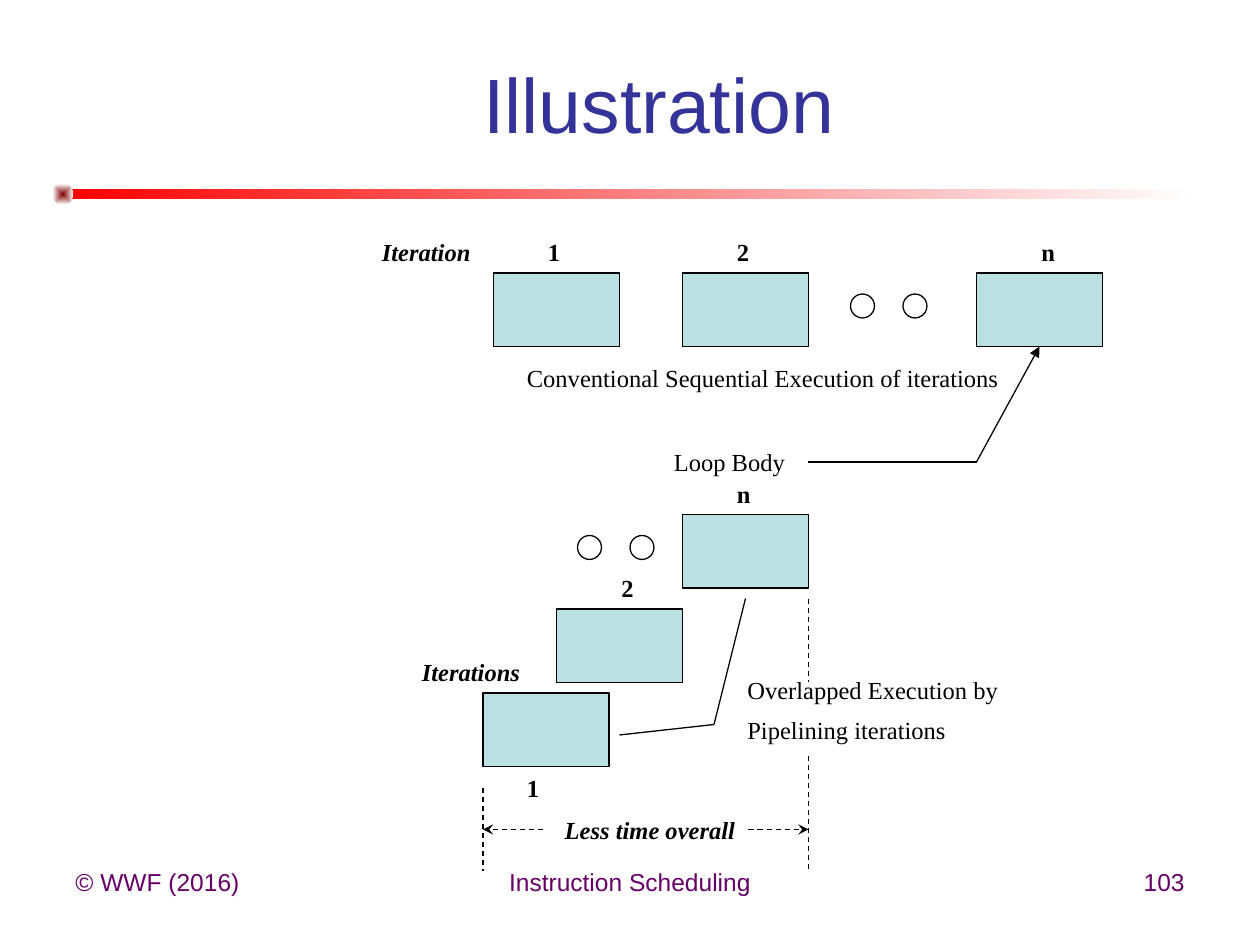
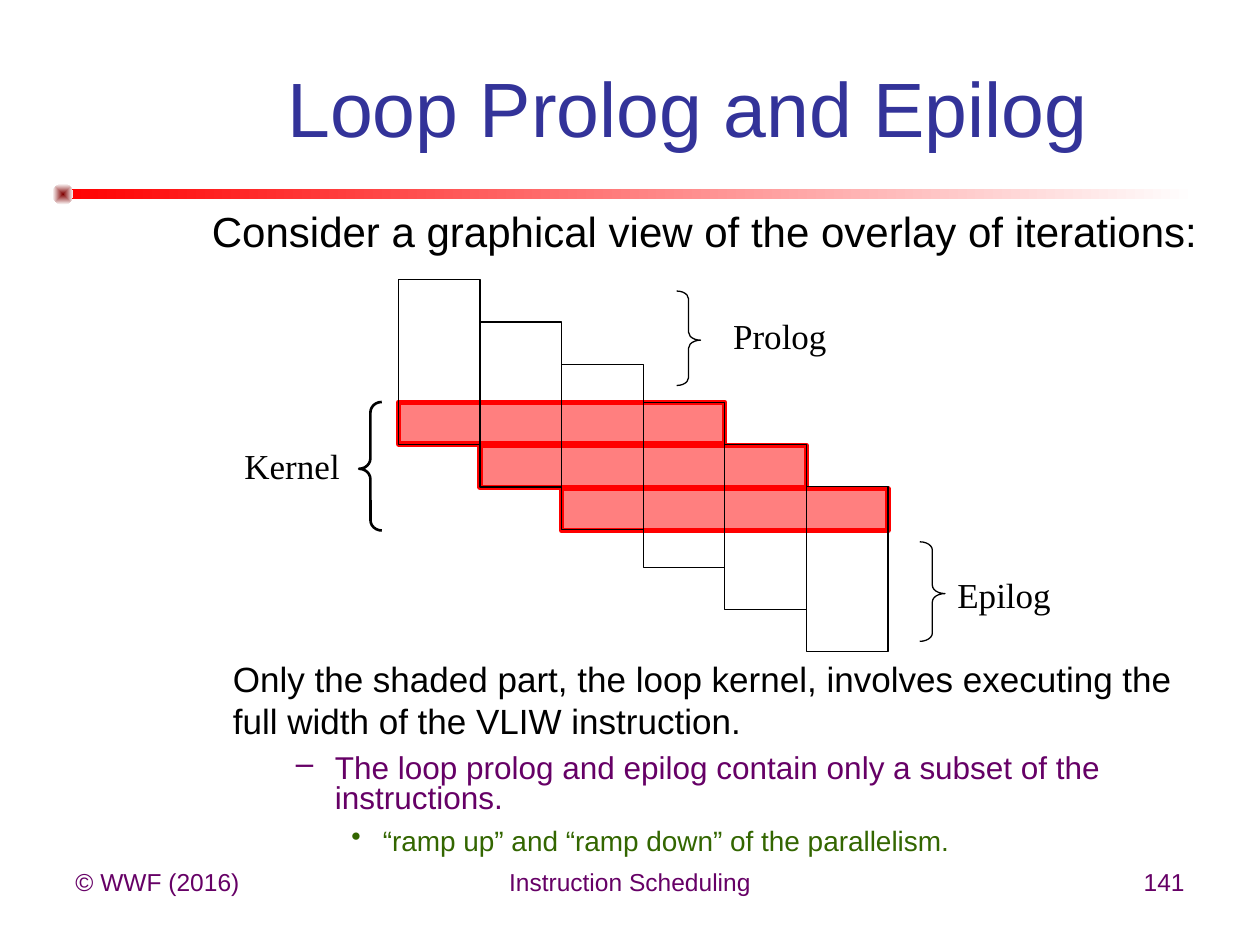
from lxml import etree
from pptx import Presentation
from pptx.dml.color import RGBColor
from pptx.enum.dml import MSO_LINE
from pptx.enum.shapes import MSO_CONNECTOR, MSO_SHAPE
from pptx.enum.text import MSO_ANCHOR, PP_ALIGN
from pptx.oxml.ns import qn
from pptx.util import Inches, Pt

RECT, OVAL = MSO_SHAPE.RECTANGLE, MSO_SHAPE.OVAL
LBRACE, RBRACE = MSO_SHAPE.LEFT_BRACE, MSO_SHAPE.RIGHT_BRACE
LEFT, MID, RIGHT = PP_ALIGN.LEFT, PP_ALIGN.CENTER, PP_ALIGN.RIGHT
STRAIGHT, DASH = MSO_CONNECTOR.STRAIGHT, MSO_LINE.DASH
SANS, SERIF = "Arial", "Times New Roman"
BLACK, WHITE, RED, MAROON = "000000", "FFFFFF", "FF0000", "800000"
NAVY, PLUM, GREEN, TEAL = "333399", "660066", "336600", "BBE0E3"
UNIT = Inches(1) / 12
rgb = RGBColor.from_string


def write(slide, box, text, size=14, font=SERIF, color=BLACK, align=LEFT, bold=None, slant=None):
    frame = slide.shapes.add_textbox(*[round(v * UNIT) for v in box]).text_frame
    frame.word_wrap = True
    frame.text = text
    for para in frame.paragraphs:
        para.alignment = align
        face = para.font
        face.name, face.size, face.bold, face.italic = font, Pt(size), bold, slant
        face.color.rgb = rgb(color)
    return frame


def draw(slide, kind, box, fill=None, edge=None, width=0.75):
    shape = slide.shapes.add_shape(kind, *[round(v * UNIT) for v in box])
    shape.shadow.inherit = False
    if fill:
        shape.fill.solid()
        shape.fill.fore_color.rgb = rgb(fill)
    else:
        shape.fill.background()
    if edge:
        shape.line.color.rgb = rgb(edge)
        shape.line.width = Pt(width)
    else:
        shape.line.fill.background()
    return shape


deck = Presentation()
deck.slide_width, deck.slide_height = Inches(10), Inches(7.5)
pages = []
for title, spot, number in [
    ("Illustration", (13.92, 6.6, 97.68, 6.36), "103"),
    ("Loop Prolog and Epilog", (17.04, 5.16, 96.96, 9.96), "141"),
]:
    page = deck.slides.add_slide(deck.slide_layouts[6])
    pages.append(page)
    for kind, box, shade in [(RECT, (6, 18, 108, 1), RED), (OVAL, (5, 17.5, 2, 2), MAROON)]:
        band = draw(page, kind, box)
        band.fill.gradient()
        band.fill.gradient_angle = 0
        for stop, color in zip(band.fill.gradient_stops, (shade, WHITE)):
            stop.color.rgb = rgb(color)
    grad = band._element.spPr.find(qn("a:gradFill"))
    grad.remove(grad.find(qn("a:lin")))
    path = etree.SubElement(grad, qn("a:path"), path="shape")
    etree.SubElement(path, qn("a:fillToRect"), l="50000", t="50000", r="50000", b="50000")
    for left, wide, text, align in [
        (6, 28, "© WWF (2016)", LEFT),
        (41, 38, "Instruction Scheduling", MID),
        (86, 28, number, RIGHT),
    ]:
        write(page, (left, 82, wide, 6.25), text, 14, SANS, PLUM, align)
    head = write(page, spot, title, 44, SANS, NAVY, MID)
    head.vertical_anchor = MSO_ANCHOR.MIDDLE

first, second = pages

for col, row in [(47, 26), (65, 26), (93, 26), (65, 49), (53, 58), (46, 66)]:
    draw(first, RECT, (col, row, 12, 7), TEAL, BLACK)
for col, row in [(81, 28), (86, 28), (55, 51), (60, 51)]:
    draw(first, OVAL, (col, row, 2.28, 2.28), WHITE, BLACK)

for col, row, text in [(51, 22, "1"), (69, 22, "2"), (98, 22, "n"),
                       (69, 45, "n"), (58, 54, "2"), (49, 73, "1")]:
    write(first, (col, row, 5, 4), text, bold=True)
write(first, (26, 22, 20, 4), "Iteration", align=RIGHT, bold=True, slant=True)
write(first, (39, 62, 20, 4), "Iterations", bold=True, slant=True)
write(first, (52.6, 77, 32, 4), "Less time overall", bold=True, slant=True)
write(first, (49, 34, 48, 4), "Conventional Sequential Execution of iterations")
write(first, (63, 42, 24, 4), "Loop Body")
note = write(first, (70, 64, 29, 7.7), "Overlapped Execution by\nPipelining iterations")
for para in note.paragraphs:
    para.line_spacing = 0.9
note.paragraphs[1].space_before = Pt(7.8)

for ends, dash, tip, form in [
    ((77, 44, 93, 44), None, None, None),
    ((93, 44, 99, 33), None, "a:tailEnd", "triangle"),
    ((71, 57, 68, 69), None, None, None),
    ((59, 70, 68, 69), None, None, None),
    ((77, 57, 77, 65), DASH, None, None),
    ((77, 72, 77, 83), DASH, None, None),
    ((46, 75, 46, 83), DASH, None, None),
    ((46, 79, 52, 79), DASH, "a:headEnd", "stealth"),
    ((77, 79, 71, 79), DASH, "a:headEnd", "stealth"),
]:
    link = first.shapes.add_connector(STRAIGHT, *[round(v * UNIT) for v in ends])
    link.line.color.rgb = rgb(BLACK)
    link.line.width = Pt(0.75)
    link.line.dash_style = dash
    props = link._element.spPr
    if tip:
        etree.SubElement(props.find(qn("a:ln")), qn(tip), type=form)
    etree.SubElement(props, qn("a:effectLst"))

write(second, (19, 19, 101, 7.7), "Consider a graphical view of the overlay of iterations:", 24, SANS)

START, STEP = 37.95, 7.77
for i in range(3):
    bar = draw(second, RECT, (START + i * STEP, 38.3 + 4.12 * i, 4 * STEP, 4), RED, RED, 3)
    tint = bar._element.spPr.find(qn("a:solidFill"))[0]
    etree.SubElement(tint, qn("a:alpha"), val="50000")
for i in range(6):
    top = 26.65 + 4.02 * (i % 3) + 11.65 * (i // 3)
    draw(second, RECT, (START + i * STEP, top, STEP, 15.72), None, BLACK)

for kind, box, bend, width, spot, text in [
    (RBRACE, (64.44, 27.72, 2.28, 9), 0.33, 0.75, (68.64, 29.4), "Prolog"),
    (LBRACE, (34.2, 38.28, 2.16, 12.24), 0.46, 1.5, (22.1, 41.76), "Kernel"),
    (RBRACE, (87.6, 51.6, 2.4, 9.48), 0.33, 0.75, (90, 54), "Epilog"),
]:
    brace = draw(second, kind, box, None, BLACK, width)
    brace.adjustments[0], brace.adjustments[1] = bend, 0.52
    write(second, (*spot, 12, 5.16), text, 20)

body = write(second, (21, 62, 97, 18.1), "\n".join([
    "Only the shaded part, the loop kernel, involves executing the full width of the VLIW instruction.",
    "The loop prolog and epilog contain only a subset of the instructions.",
    "“ramp up” and “ramp down” of the parallelism.",
]), 20, SANS)
body.paragraphs[0].space_after = Pt(4)
for para, level, left, hang, mark, size, color in zip(
    body.paragraphs[1:], (1, 2), (0.81, 1.19), (0.31, 0.25), "–•", (18, 16), (PLUM, GREEN)
):
    para.level = level
    para.line_spacing = 0.8
    para.space_before = para.space_after = Pt(4)
    props = para._p.get_or_add_pPr()
    props.set("marL", str(Inches(left)))
    props.set("indent", str(-Inches(hang)))
    bullet = etree.Element(qn("a:buChar"), char=mark)
    props.find(qn("a:defRPr")).addprevious(bullet)
    para.font.size = Pt(size)
    para.font.color.rgb = rgb(color)

deck.save("out.pptx")
